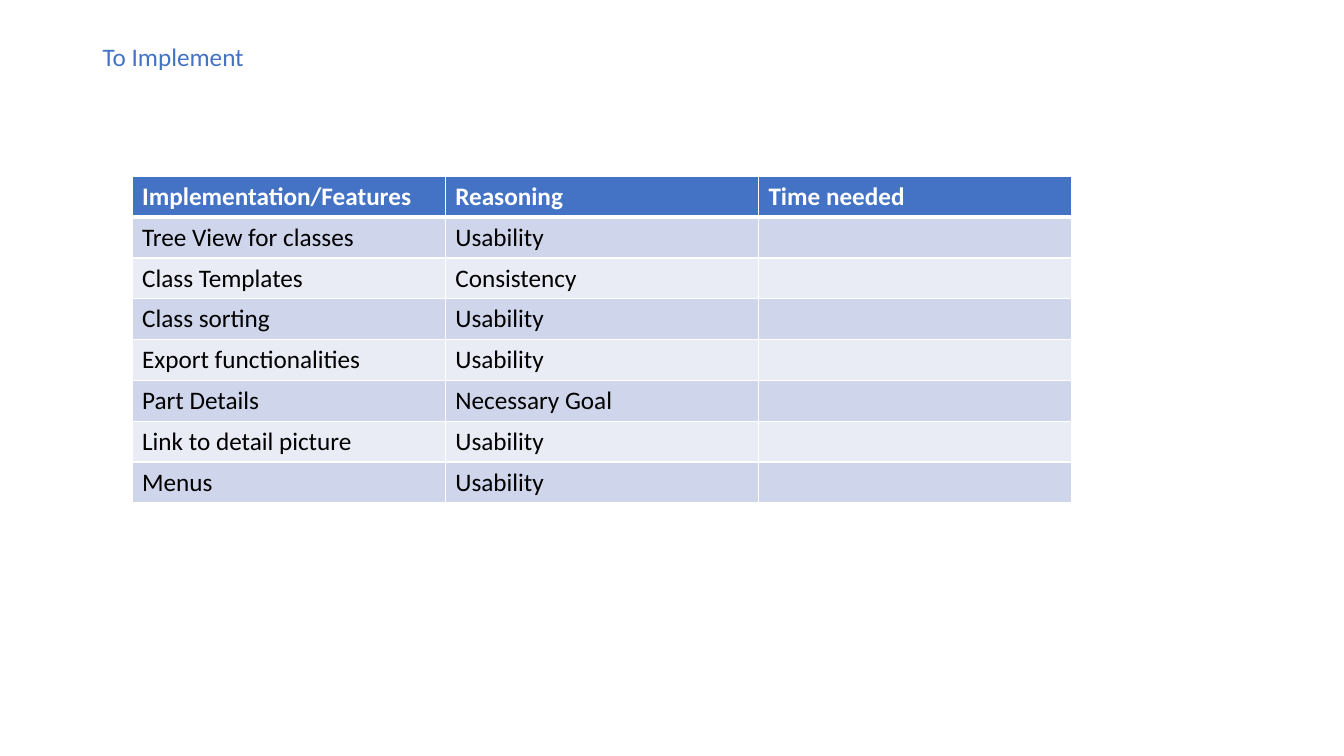
import pptx
import pptx.dml.color
import pptx.enum.text
import pptx.oxml
import pptx.oxml.ns
import pptx.util
from pptx.util import Inches

COLORS = {
    "accent": "4472C4",
    "white": "FFFFFF",
    "black": "000000",
    "odd_row": "CFD5EA",
    "even_row": "E9EBF5",
}
FONT = "Calibri"
FEATURES = [
    ("Implementation/Features", "Reasoning", "Time needed"),
    ("Tree View for classes", "Usability", ""),
    ("Class Templates", "Consistency", ""),
    ("Class sorting", "Usability", ""),
    ("Export functionalities", "Usability", ""),
    ("Part Details", "Necessary Goal", ""),
    ("Link to detail picture", "Usability", ""),
    ("Menus", "Usability", ""),
]


def rgb(name):
    return pptx.dml.color.RGBColor.from_string(COLORS[name])


def format_text(frame, color, bold=False):
    for para in frame.paragraphs:
        for span in para.runs:
            span.font.name = FONT
            span.font.size = pptx.util.Pt(18)
            span.font.bold = bold
            span.font.color.rgb = rgb(color)


def add_title(page, text):
    box = page.shapes.add_textbox(Inches(0.92), Inches(0.4), Inches(11.5), Inches(0.35))
    frame = box.text_frame
    frame.word_wrap = True
    frame.vertical_anchor = pptx.enum.text.MSO_ANCHOR.MIDDLE
    frame.text = text
    frame.paragraphs[0].line_spacing = 0.9
    format_text(frame, "accent")


def set_borders(cell, top, bottom):
    """Draw white cell borders; the widths are in points."""
    properties = cell._tc.get_or_add_tcPr()
    widths = {"lnL": 1, "lnR": 1, "lnT": top, "lnB": bottom}
    for position, (side, width) in enumerate(widths.items()):
        border = pptx.oxml.parse_xml(
            f'<a:{side} {pptx.oxml.ns.nsdecls("a")} w="{pptx.util.Pt(width)}">'
            f'<a:solidFill><a:srgbClr val="{COLORS["white"]}"/></a:solidFill>'
            f"</a:{side}>"
        )
        properties.insert(position, border)


def add_feature_table(page, rows):
    frame = page.shapes.add_table(
        len(rows), len(rows[0]), Inches(1.31), Inches(1.75), Inches(9.32), Inches(3.24)
    )
    table = frame.table
    for row_index, values in enumerate(rows):
        header = row_index == 0
        if header:
            fill = "accent"
        else:
            fill = "odd_row" if row_index % 2 else "even_row"
        for column_index, value in enumerate(values):
            cell = table.cell(row_index, column_index)
            cell.text_frame.text = value
            format_text(cell.text_frame, "white" if header else "black", header)
            cell.fill.solid()
            cell.fill.fore_color.rgb = rgb(fill)
            # A thicker rule separates the header from the body
            set_borders(cell, top=3 if row_index == 1 else 1, bottom=3 if header else 1)


def main():
    deck = pptx.Presentation()
    deck.slide_width = Inches(13.33)
    deck.slide_height = Inches(7.5)
    page = deck.slides.add_slide(deck.slide_layouts[6])

    # Heading
    add_title(page, "To Implement")

    # Planned features
    add_feature_table(page, FEATURES)

    deck.save("out.pptx")


if __name__ == "__main__":
    main()
